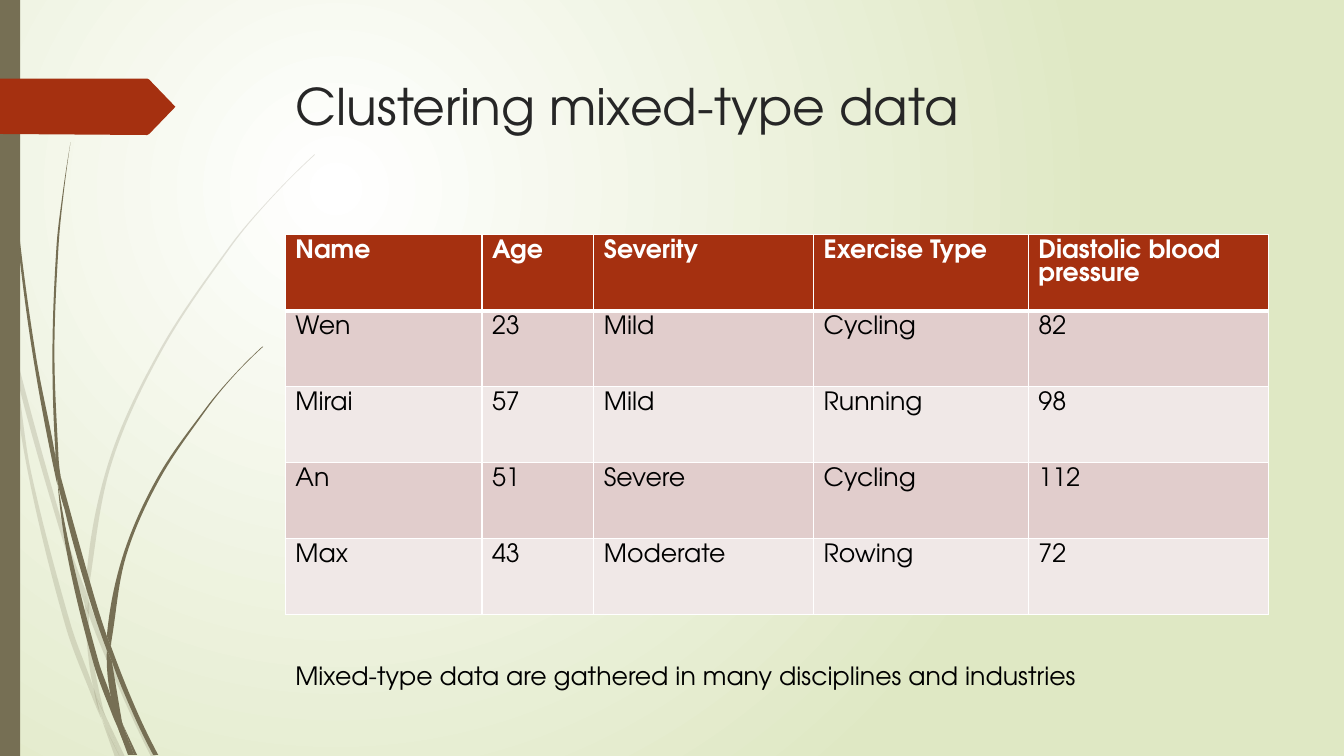
from dataclasses import dataclass
from math import dist
from typing import Optional

from lxml.etree import SubElement
from pptx import Presentation
from pptx.dml.color import RGBColor
from pptx.enum.shapes import MSO_SHAPE
from pptx.enum.text import MSO_ANCHOR, MSO_AUTO_SIZE, PP_ALIGN
from pptx.oxml.ns import qn
from pptx.util import Inches, Pt

Point = tuple[float, float]
Handles = Optional[tuple[Point, Point]]


@dataclass(frozen=True)
class Theme:
    font: str = "TeX Gyre Adventor"
    title_size: int = 36
    text_size: int = 18
    title: str = "262626"
    text: str = "000000"
    white: str = "FFFFFF"
    meadow: str = "DFE8C4"
    stem: str = "766F54"
    accent: str = "A53010"
    bands: tuple[str, str] = ("E1CDCC", "F0E8E7")


@dataclass(frozen=True)
class Blade:
    """A sliver of grass, bounded by one edge going out and one coming back."""
    out: list[Point]
    back: list[Point]


THEME = Theme()

PALE_BLADES = [
    Blade([(0.11, 3.5), (0.09, 3.22), (0, 2.82)], [(0, 2.99), (0.1, 3.44)]),
    Blade([(0.14, 3.45), (0.17, 3.76), (0.58, 5.22), (0.84, 5.99)],
          [(0.85, 5.86), (0.62, 5.2), (0.14, 3.45)]),
    Blade([(0.88, 5.96), (0.88, 6.1), (1.23, 6.94), (1.5, 7.51)],
          [(1.55, 7.51), (1.27, 6.92), (0.92, 6.07)]),
    Blade([(1.05, 7.11), (1.19, 7.51)], [(1.24, 7.51)]),
    Blade([(0.11, 3.5), (0.28, 4.7), (0.65, 6.21), (0.92, 6.93), (1.01, 7.14)],
          [(0.99, 7.07), (0.93, 6.83), (0.7, 6.19), (0.31, 4.69), (0.17, 3.76), (0.11, 3.5)]),
    Blade([(0.84, 5.99), (0.87, 6.46), (0.93, 6.83), (1.05, 7.11)],
          [(1.03, 7.06), (0.91, 6.46), (0.88, 6.08)]),
    Blade([(0.88, 5.96), (0.88, 5.84), (1.1, 4.62), (1.6, 3.49), (2.29, 2.45), (2.68, 1.98), (3.12, 1.54)],
          [(3.12, 1.53), (2.68, 1.97), (2.28, 2.44), (1.58, 3.48), (1.07, 4.61), (0.85, 5.84)]),
    Blade([(1.01, 7.14), (1.14, 7.51)], [(1.19, 7.51)]),
    Blade([(0.88, 6.1), (0.88, 5.96)], [(0.85, 5.86), (0.84, 5.99)]),
    Blade([(0.93, 6.83), (0.99, 7.07), (1.19, 7.51)], [(1.05, 7.11), (0.96, 6.92)]),
]

DARK_BLADES = [
    Blade([(0.04, 0), (0.05, 0.48), (0.08, 1.09), (0.19, 2.32), (0.36, 3.55), (0.55, 4.53), (0.57, 4.81)],
          [(0.56, 4.77), (0.33, 3.55), (0.17, 2.33), (0.07, 1.1), (0.04, 0.48), (0.03, 0)]),
    Blade([(0.6, 4.72), (0.64, 5.05), (0.88, 5.92), (1.06, 6.45)],
          [(1.06, 6.31), (0.93, 5.9), (0.6, 4.72)]),
    Blade([(1.1, 6.41), (1.11, 6.56), (1.32, 7.08), (1.52, 7.49)],
          [(1.57, 7.49), (1.36, 7.06), (1.13, 6.49)]),
    Blade([(0.57, 4.77), (0.68, 5.57), (0.93, 6.59), (1.11, 7.08), (1.17, 7.22)],
          [(1.16, 7.17), (1.1, 6.91), (0.98, 6.57), (0.72, 5.56), (0.57, 4.77)]),
    Blade([(0.6, 4.72), (0.58, 4.53), (0.54, 3.49), (0.58, 2.45), (0.63, 1.93), (0.7, 1.41)],
          [(0.7, 1.41), (0.62, 1.93), (0.56, 2.45), (0.52, 3.49), (0.55, 4.49), (0.6, 4.72)]),
    Blade([(1.22, 7.19), (1.33, 7.49)], [(1.36, 7.49)]),
    Blade([(0.55, 4.49), (0.57, 4.77), (0.64, 5.05)], [(0.6, 4.72)]),
    Blade([(1.1, 6.41), (1.11, 6.33), (1.25, 5.52), (1.58, 4.76), (2.05, 4.06), (2.31, 3.74), (2.61, 3.44)],
          [(2.6, 3.44), (2.31, 3.73), (2.04, 4.05), (1.56, 4.74), (1.22, 5.51), (1.06, 6.31)]),
    Blade([(1.17, 7.22), (1.27, 7.49)], [(1.31, 7.49)]),
    Blade([(1.06, 6.45), (1.1, 6.91), (1.22, 7.19)], [(1.21, 7.16), (1.11, 6.56)]),
    Blade([(1.06, 6.45), (1.11, 6.56)], [(1.1, 6.41), (1.06, 6.31)]),
    Blade([(1.1, 6.91), (1.17, 7.22), (1.3, 7.49)], [(1.33, 7.49), (1.22, 7.19)]),
]

POINTER = [(0, 0.78), (1.46, 0.78), (1.48, 0.79), (1.74, 1.06), (1.48, 1.33), (1.46, 1.34), (0, 1.33)]

PATIENTS = [
    ("Name", "Age", "Severity", "Exercise Type", "Diastolic blood pressure"),
    ("Wen", "23", "Mild", "Cycling", "82"),
    ("Mirai", "57", "Mild", "Running", "98"),
    ("An", "51", "Severe", "Cycling", "112"),
    ("Max", "43", "Moderate", "Rowing", "72"),
]
COLUMN_WIDTHS = (1.95, 1.11, 2.18, 2.13, 2.38)
TABLE_HEIGHT = 3.77


def curve_handles(edge: list[Point]) -> list[Handles]:
    """Give each stretch of an edge the two handles of a smooth curve."""
    spans = [dist(a, b) for a, b in zip(edge, edge[1:])]
    if len(spans) < 2:
        return [None] * len(spans)
    chords = [((b[0] - a[0]) / s, (b[1] - a[1]) / s) for a, b, s in zip(edge, edge[1:], spans)]
    slopes = [tuple((u * s + v * t) / (s + t) for u, v in zip(a, b))
              for a, b, s, t in zip(chords, chords[1:], spans, spans[1:])]
    first = tuple(2 * u - v for u, v in zip(chords[0], slopes[0]))
    final = tuple(2 * u - v for u, v in zip(chords[-1], slopes[-1]))
    slopes = [first, *slopes, final]
    return [((a[0] + m[0] * s / 3, a[1] + m[1] * s / 3), (b[0] - n[0] * s / 3, b[1] - n[1] * s / 3))
            for a, b, m, n, s in zip(edge, edge[1:], slopes, slopes[1:], spans)]


def paint(shape, color: str, alpha: int = 100) -> None:
    shape.shadow.inherit = False
    shape.line.fill.background()
    shape.fill.solid()
    shape.fill.fore_color.rgb = RGBColor.from_string(color)
    if alpha < 100:
        tint = shape.fill._xPr.find(".//" + qn("a:srgbClr"))
        SubElement(tint, qn("a:alpha"), val=str(alpha * 1000))


def draw_outline(slide, outline: list[Point], color: str, alpha: int = 100):
    start, *rest = [(Inches(x), Inches(y)) for x, y in outline]
    builder = slide.shapes.build_freeform(*start)
    builder.add_line_segments(rest, close=True)
    shape = builder.convert_to_shape()
    paint(shape, color, alpha)
    return shape


def draw_blade(slide, blade: Blade, alpha: int) -> None:
    shape = draw_outline(slide, blade.out + blade.back, THEME.stem, alpha)
    bends = [*curve_handles(blade.out), None, *curve_handles(blade.back)]
    for segment, bend in zip(list(shape._element.iter(qn("a:lnTo"))), bends):
        if bend:
            segment.tag = qn("a:cubicBezTo")
            for i, (x, y) in enumerate(bend):
                handle = SubElement(segment, qn("a:pt"), x=str(Inches(x) - shape.left),
                                    y=str(Inches(y) - shape.top))
                segment.insert(i, handle)


def write(frame, text: str, size: int, color: str, bold: bool = False) -> None:
    paragraph = frame.paragraphs[0]
    paragraph.alignment = PP_ALIGN.LEFT
    run = paragraph.add_run()
    run.text = text
    run.font.name, run.font.size, run.font.bold = THEME.font, Pt(size), bold
    run.font.color.rgb = RGBColor.from_string(color)


def set_borders(cell, top: int, bottom: int) -> None:
    properties = cell._tc.get_or_add_tcPr()
    for i, (side, width) in enumerate({"L": 1, "R": 1, "T": top, "B": bottom}.items()):
        border = SubElement(properties, qn(f"a:ln{side}"), w=str(Pt(width)))
        SubElement(SubElement(border, qn("a:solidFill")), qn("a:srgbClr"), val=THEME.white)
        properties.insert(i, border)


def add_background(slide) -> None:
    fill = slide.background.fill
    fill.gradient()
    for stop, color in zip(fill.gradient_stops, (THEME.white, THEME.meadow)):
        stop.color.rgb = RGBColor.from_string(color)
    gradient = slide._element.find(".//" + qn("a:gradFill"))
    gradient.remove(gradient.find(qn("a:lin")))
    glow = SubElement(gradient, qn("a:path"), path="circle")
    SubElement(glow, qn("a:fillToRect"), l="50000", t="50000", r="100000", b="100000")


def add_patient_table(slide) -> None:
    table = slide.shapes.add_table(
        len(PATIENTS), len(COLUMN_WIDTHS), Inches(2.83), Inches(2.33),
        Inches(sum(COLUMN_WIDTHS)), Inches(TABLE_HEIGHT)).table
    for column, width in zip(table.columns, COLUMN_WIDTHS):
        column.width = Inches(width)
    for r, patient in enumerate(PATIENTS):
        header = r == 0
        for c, value in enumerate(patient):
            cell = table.cell(r, c)
            cell.fill.solid()
            cell.fill.fore_color.rgb = RGBColor.from_string(THEME.accent if header else THEME.bands[(r - 1) % 2])
            set_borders(cell, top=3 if r == 1 else 1, bottom=3 if header else 1)
            write(cell.text_frame, value, THEME.text_size, THEME.white if header else THEME.text, header)


def main() -> None:
    deck = Presentation()
    deck.slide_width, deck.slide_height = Inches(13.33), Inches(7.5)
    slide = deck.slides.add_slide(deck.slide_layouts[5])
    # Background and grass
    add_background(slide)
    for blades, alpha in ((PALE_BLADES, 20), (DARK_BLADES, 100)):
        for blade in blades:
            draw_blade(slide, blade, alpha)
    # Side bar and pointer
    side_bar = slide.shapes.add_shape(MSO_SHAPE.RECTANGLE, 0, 0, Inches(0.2), Inches(7.5))
    paint(side_bar, THEME.stem)
    draw_outline(slide, POINTER, THEME.accent)
    # Title
    heading = slide.shapes.title
    heading.left, heading.top = Inches(2.83), Inches(0.69)
    heading.width, heading.height = Inches(9.75), Inches(1.4)
    heading.text_frame.vertical_anchor = MSO_ANCHOR.TOP
    heading.text_frame.auto_size = MSO_AUTO_SIZE.NONE
    write(heading.text_frame, "Clustering mixed-type data", THEME.title_size, THEME.title)
    # Table and caption
    add_patient_table(slide)
    caption = slide.shapes.add_textbox(Inches(2.83), Inches(6.5), Inches(9.62), Inches(0.4)).text_frame
    caption.word_wrap = True
    caption.auto_size = MSO_AUTO_SIZE.SHAPE_TO_FIT_TEXT
    write(caption, "Mixed-type data are gathered in many disciplines and industries",
          THEME.text_size, THEME.text)
    deck.save("out.pptx")


if __name__ == "__main__":
    main()
